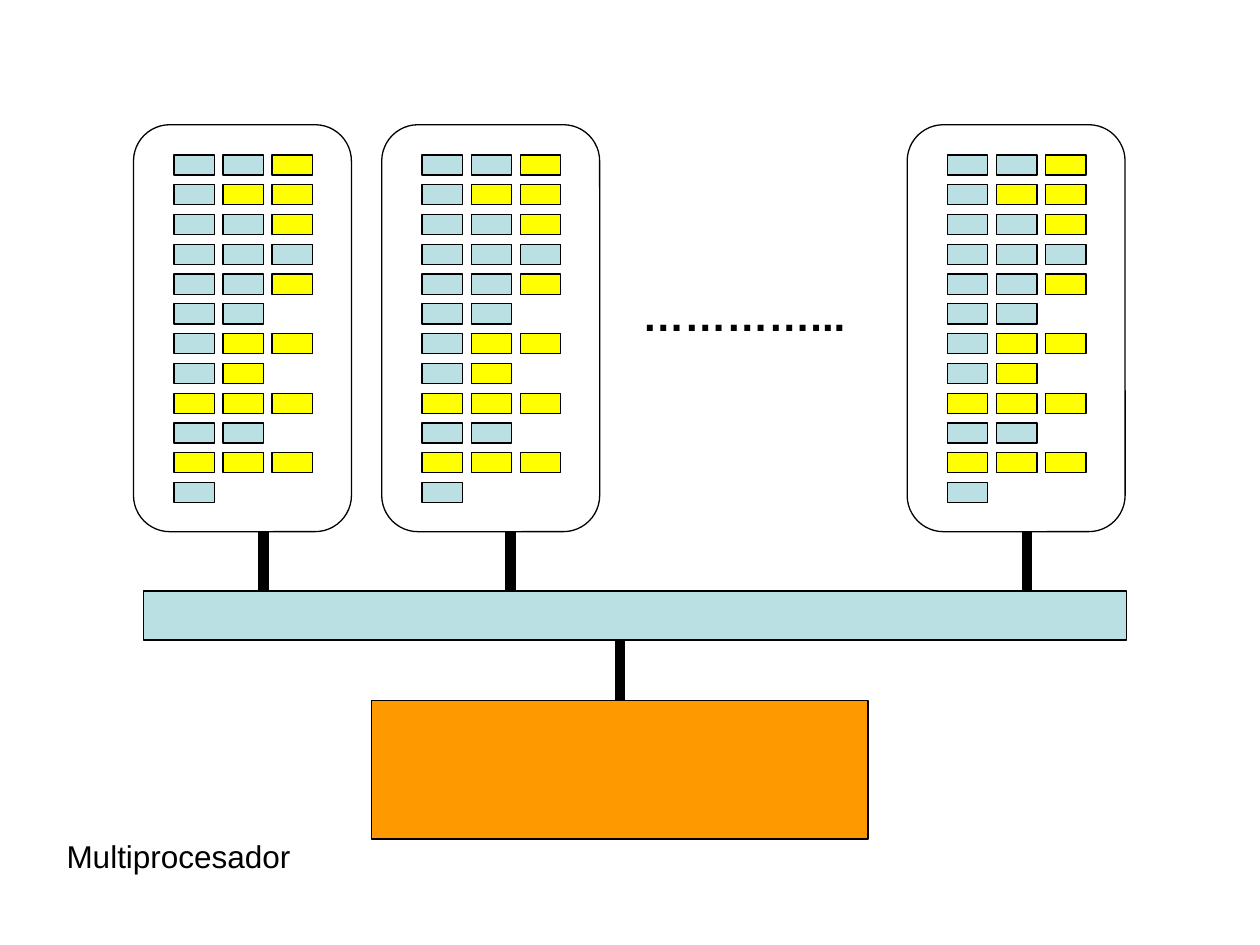
from pptx import Presentation
from pptx.dml.color import RGBColor as Rgb
from pptx.enum.shapes import MSO_CONNECTOR as Connector, MSO_SHAPE as Shape
from pptx.enum.text import MSO_AUTO_SIZE as AutoSize
from pptx.oxml.ns import qn
from pptx.util import Inches, Pt
from lxml.etree import SubElement

# Content: issue slots of each processor, B = blue, Y = yellow
SLOT_ROWS = ["BBY", "BYY", "BBY", "BBB", "BBY", "BB",
             "BYY", "BY", "YYY", "BB", "YYY", "B"]
# Left edge of each processor and position of its link to the bus
PROCESSORS = [(1.06, 2.09), (3.03, 4.05), (7.2, 8.15)]
# Text, left, top, width, height, size name, space before, bold
LABELS = [
    ("…………...", 5, 2.25, 1.89, 0.5, "dots", 15, True),
    ("Multiprocesador", 0.43, 6.59, 2.99, 0.4, "caption", 11.2, False),
]

THEME = {
    "font": "Arial",
    "ink": Rgb.from_string("000000"),
    "B": Rgb.from_string("BBE0E3"),
    "Y": Rgb.from_string("FFFF00"),
    "memory": Rgb.from_string("FF9900"),
    "dots": Pt(24),
    "caption": Pt(18),
    "outline": Pt(0.75),
    "link": Pt(6),
}

# Layout in inches
CORE_TOP, CORE_WIDTH, CORE_HEIGHT = 0.99, 1.73, 3.23
SLOT_WIDTH, SLOT_HEIGHT = 0.32, 0.16
SLOT_INDENT, SLOT_TOP = 0.32, 1.23
COLUMN_STEP, ROW_STEP = 0.39, 2.6 / 11
BUS = (1.14, 4.69, 7.8, 0.39)
MEMORY = (2.95, 5.56, 3.94, 1.1)

deck = Presentation()
deck.slide_width, deck.slide_height = Inches(10), Inches(7.5)
page = deck.slides.add_slide(deck.slide_layouts[6])


def add_box(kind, left, top, width, height, fill=None):
    box = page.shapes.add_shape(kind, *map(Inches, (left, top, width, height)))
    box.shadow.inherit = False
    if fill is None:
        box.fill.background()
    else:
        box.fill.solid()
        box.fill.fore_color.rgb = THEME[fill]
    box.line.color.rgb = THEME["ink"]
    box.line.width = THEME["outline"]


def add_link(x, top, bottom):
    link = page.shapes.add_connector(
        Connector.STRAIGHT, *map(Inches, (x, top, x, bottom)))
    link.line.color.rgb = THEME["ink"]
    link.line.width = THEME["link"]
    SubElement(link._element.spPr, qn("a:effectLst"))


def add_label(text, left, top, width, height, size, space, bold):
    box = page.shapes.add_textbox(*map(Inches, (left, top, width, height)))
    frame = box.text_frame
    frame.word_wrap = True
    frame.auto_size = AutoSize.SHAPE_TO_FIT_TEXT
    para = frame.paragraphs[0]
    para.space_before = Pt(space)
    span = para.add_run()
    span.text = text
    span.font.name = THEME["font"]
    span.font.size = THEME[size]
    span.font.bold = bold
    span.font.color.rgb = THEME["ink"]


# Processors with their slots
for core_left, _ in PROCESSORS:
    for row, slots in enumerate(SLOT_ROWS):
        for column, color in enumerate(slots):
            add_box(Shape.RECTANGLE,
                    core_left + SLOT_INDENT + column * COLUMN_STEP,
                    SLOT_TOP + row * ROW_STEP,
                    SLOT_WIDTH, SLOT_HEIGHT, color)
    add_box(Shape.ROUNDED_RECTANGLE, core_left, CORE_TOP, CORE_WIDTH, CORE_HEIGHT)

# Bus, memory and links
add_box(Shape.RECTANGLE, *BUS, "B")
for _, link_x in PROCESSORS:
    add_link(link_x, CORE_TOP + CORE_HEIGHT, BUS[1])
add_box(Shape.RECTANGLE, *MEMORY, "memory")
add_link(MEMORY[0] + MEMORY[2] / 2, BUS[1] + BUS[3], MEMORY[1])

# Labels
for label in LABELS:
    add_label(*label)

deck.save("out.pptx")
